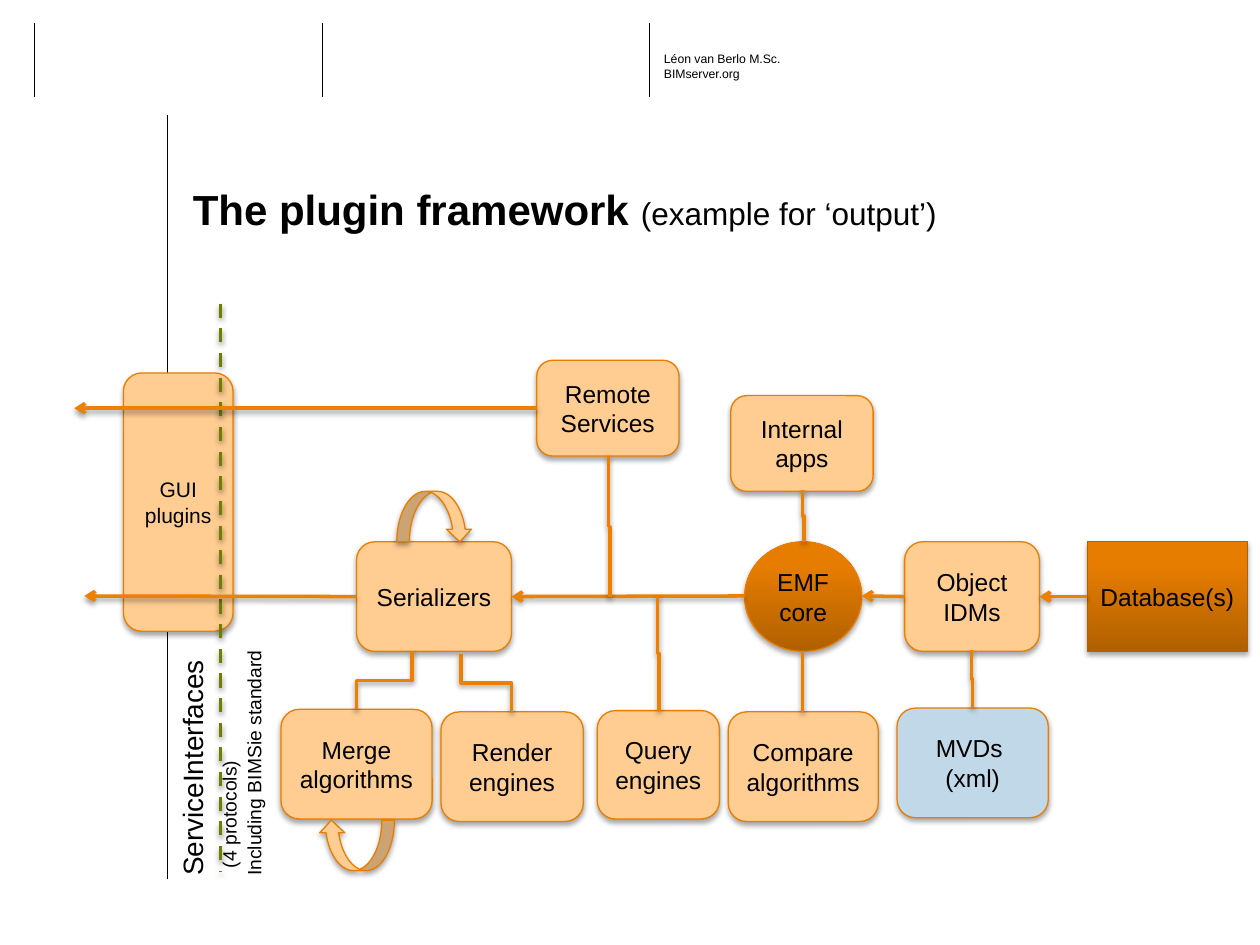
from dataclasses import dataclass

from lxml import etree
from pptx import Presentation
from pptx.dml.color import RGBColor
from pptx.enum import dml, shapes, text
from pptx.oxml import ns
from pptx.util import Inches, Pt


@dataclass(frozen=True)
class Theme:
    font: str = "Arial"
    black: str = "000000"
    peach: str = "FFCD92"
    blue: str = "C1D8E9"
    edge: str = "E87D00"
    database_edge: str = "B26000"
    flow: str = "ED8000"
    border: str = "6E7E00"
    dark: str = "B16000"
    bright: str = "E77D00"
    title: float = 24
    subtitle: float = 18
    heading: float = 16
    label: float = 14
    small: float = 12
    note: float = 11
    credit: float = 7


THEME = Theme()
PRESET = shapes.MSO_SHAPE
STRAIGHT, ELBOW = shapes.MSO_CONNECTOR.STRAIGHT, shapes.MSO_CONNECTOR.ELBOW
LEFT_SIDE, RIGHT_SIDE = 1, 3
FLOW_Y = 4.73


def apply(target, values):
    for name, value in values.items():
        setattr(target, name, value)


def inches(values):
    return [Inches(value) for value in values]


def color(value):
    return RGBColor.from_string(value)


def add_effects(part, shadow=None):
    """Replace theme effects; shadow is (opacity percent, distance in points)."""
    properties = part._element.spPr
    effects = properties.find(ns.qn("a:effectLst"))
    if effects is None:
        effects = etree.SubElement(properties, ns.qn("a:effectLst"))
    if shadow:
        opacity, distance = shadow
        outer = etree.SubElement(
            effects, ns.qn("a:outerShdw"), blurRad=str(Pt(3.1)),
            dist=str(Pt(distance)), dir="5400000", rotWithShape="0")
        tint = etree.SubElement(outer, ns.qn("a:srgbClr"), val=THEME.black)
        etree.SubElement(tint, ns.qn("a:alpha"), val=str(opacity * 1000))


def write(paragraph, words, size, bold=False):
    run = paragraph.add_run()
    run.text = words
    apply(run.font, {"name": THEME.font, "size": Pt(size), "bold": bold})
    run.font.color.rgb = color(THEME.black)


def set_frame(frame, margins=(0, 0, 0, 0), anchor=text.MSO_ANCHOR.TOP):
    sides = ("margin_left", "margin_top", "margin_right", "margin_bottom")
    apply(frame, dict(zip(sides, inches(margins))))
    apply(frame, {"word_wrap": True, "vertical_anchor": anchor,
                  "auto_size": text.MSO_AUTO_SIZE.NONE})


def add_node(slide, place, label="", preset=PRESET.ROUNDED_RECTANGLE,
             fill=THEME.peach, edge=THEME.edge, size=THEME.label):
    """Add a shape; a fill of None gives the orange gradient."""
    node = slide.shapes.add_shape(preset, *inches(place))
    node.shadow.inherit = False
    if fill:
        node.fill.solid()
        node.fill.fore_color.rgb = color(fill)
    else:
        node.fill.gradient()
        node.fill.gradient_angle = 90
        stops = ((0, THEME.dark), (0.8, THEME.bright))
        for stop, (position, shade) in zip(node.fill.gradient_stops, stops):
            stop.position = position
            stop.color.rgb = color(shade)
    node.line.color.rgb = color(edge)
    node.line.width = Pt(0.75)
    add_effects(node, (35, 1.8))
    frame = node.text_frame
    set_frame(frame, (0.05, 0.05, 0.05, 0.05), text.MSO_ANCHOR.MIDDLE)
    for index, line in enumerate(label.split("\n") if label else ()):
        paragraph = frame.add_paragraph() if index else frame.paragraphs[0]
        paragraph.alignment = text.PP_ALIGN.CENTER
        write(paragraph, line, size)
    return node


def add_line(slide, start, end, shade=THEME.flow, width=2.0, kind=STRAIGHT,
             shadow=(38, 1.6)):
    line = slide.shapes.add_connector(kind, *inches(start + end))
    line.line.color.rgb = color(shade)
    line.line.width = Pt(width)
    add_effects(line, shadow)
    return line


def add_arrow(slide, start, end, source=None, target=None):
    """Add a leftward arrow, joined to the source and target when given."""
    arrow = add_line(slide, start, end)
    etree.SubElement(arrow.line._get_or_add_ln(), ns.qn("a:tailEnd"), type="arrow")
    if source:
        arrow.begin_connect(source, LEFT_SIDE)
    if target:
        arrow.end_connect(target, RIGHT_SIDE)


def add_drop(slide, upper, lower):
    """Add an elbow that leaves and arrives vertically."""
    (x1, y1), (x2, y2) = upper, lower
    drop = add_line(slide, upper, lower, kind=ELBOW)
    length, shift = y2 - y1, abs(x2 - x1)
    apply(drop, dict(zip(("left", "top", "width", "height"), inches(
        ((x1 + x2 - length) / 2, (y1 + y2 - shift) / 2, length, shift)))))
    frame = drop._element.spPr.find(ns.qn("a:xfrm"))
    frame.attrib.pop("flipH", None)
    frame.set("rot", "5400000")
    frame.set("flipV", "1" if x2 > x1 else "0")


def add_header(slide):
    for x in (0.27, 2.56, 5.15):
        add_line(slide, (x, 0.77), (x, 0.18), THEME.black, 0.25, shadow=None)
    add_line(slide, (1.33, 6.98), (1.33, 0.91), THEME.black, 0.1, shadow=None)
    credit = slide.shapes.add_textbox(*inches((5.27, 0.41, 1.97, 0.12))).text_frame
    set_frame(credit)
    paragraph = credit.paragraphs[0]
    write(paragraph, "Léon van Berlo M.Sc.", THEME.credit)
    paragraph.add_line_break()
    write(paragraph, "BIMserver.org", THEME.credit)


def add_title(slide):
    title = slide.shapes.title
    apply(title, dict(zip(("left", "top", "width", "height"),
                          inches((1.53, 1.47, 7.95, 0.79)))))
    set_frame(title.text_frame)
    paragraph = title.text_frame.paragraphs[0]
    apply(paragraph, {"alignment": text.PP_ALIGN.LEFT, "line_spacing": Pt(28)})
    write(paragraph, "The plugin framework ", THEME.title, bold=True)
    write(paragraph, "(example for ‘output’)", THEME.subtitle)


def add_interface_label(slide):
    label = slide.shapes.add_textbox(*inches((-0.06, 4.83, 3.62, 0.82)))
    label.rotation = 270
    frame = label.text_frame
    set_frame(frame, (0.1, 0.05, 0.1, 0.05))
    write(frame.paragraphs[0], "ServiceInterfaces", THEME.heading)
    protocols = frame.add_paragraph()
    write(protocols, " ", THEME.heading)
    write(protocols, "(4 protocols)", THEME.note)
    write(frame.add_paragraph(), "Including BIMSie standard", THEME.note)


def main():
    deck = Presentation()
    deck.slide_width, deck.slide_height = Inches(10), Inches(7.5)
    slide = deck.slides.add_slide(deck.slide_layouts[5])
    add_header(slide)
    add_node(slide, (0.98, 2.96, 0.87, 2.05), "GUI plugins", size=THEME.small)
    add_title(slide)

    database = add_node(slide, (8.63, 4.3, 1.27, 0.87), "Database(s)",
                        PRESET.RECTANGLE, None, THEME.database_edge)
    add_node(slide, (5.91, 4.3, 0.93, 0.87), "EMF\ncore", PRESET.OVAL, None)
    idms = add_node(slide, (7.18, 4.3, 1.07, 0.87), "Object\nIDMs")
    serializers = add_node(slide, (2.83, 4.3, 1.23, 0.87), "Serializers")
    remote = add_node(slide, (4.26, 2.86, 1.13, 0.76), "Remote Services")
    for place, label in (
            ((5.8, 3.14, 1.13, 0.76), "Internal apps"),
            ((2.23, 5.63, 1.2, 0.87), "Merge\nalgorithms"),
            ((3.5, 5.65, 1.13, 0.87), "Render engines"),
            ((4.74, 5.64, 0.97, 0.86), "Query engines"),
            ((5.78, 5.65, 1.19, 0.87), "Compare algorithms")):
        add_node(slide, place, label)
    add_node(slide, (7.12, 5.62, 1.2, 0.87), "MVDs \n(xml)", fill=THEME.blue)
    for left, top, turn in ((3.15, 3.9, 0), (2.53, 6.51, 180)):
        loop = add_node(slide, (left, top, 0.6, 0.4), preset=PRESET.CURVED_DOWN_ARROW)
        loop.rotation = turn

    border = add_line(slide, (1.75, 2.41), (1.75, 6.92), THEME.border)
    border.line.dash_style = dml.MSO_LINE.DASH
    for start, end, y, source, target in (
            (5.91, 4.06, FLOW_Y, None, serializers),
            (8.63, 8.25, FLOW_Y, database, idms),
            (7.18, 6.84, FLOW_Y, idms, None),
            (2.83, 0.67, FLOW_Y, serializers, None),
            (4.26, 0.59, 3.24, remote, None)):
        add_arrow(slide, (start, y), (end, y), source, target)
    for upper, lower in (
            ((7.71, 5.16), (7.72, 5.62)), ((5.22, FLOW_Y), (5.23, 5.64)),
            ((6.37, 5.17), (6.37, 5.65)), ((6.37, 3.89), (6.38, 4.3)),
            ((3.66, 5.19), (4.06, 5.65)), ((3.27, 5.17), (2.83, 5.63)),
            ((4.83, 3.62), (4.84, 4.74))):
        add_drop(slide, upper, lower)
    add_interface_label(slide)
    deck.save("out.pptx")


if __name__ == "__main__":
    main()
